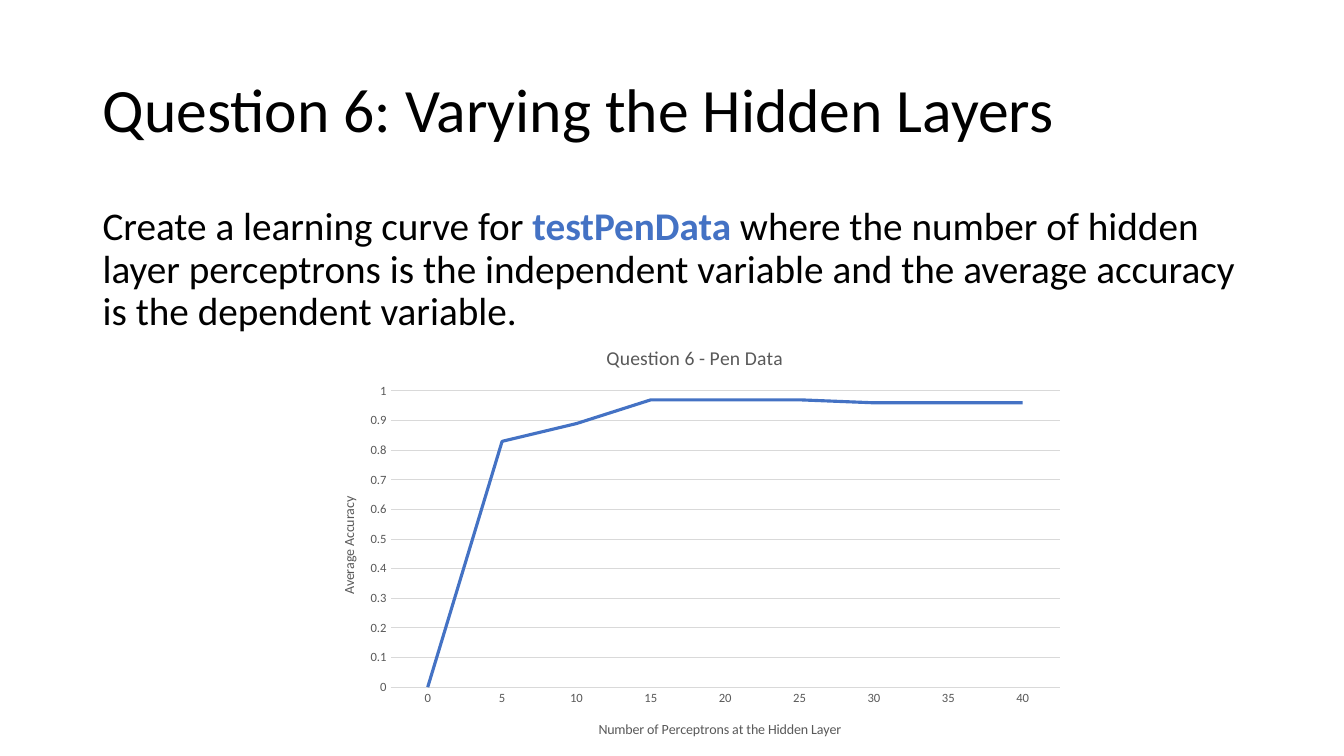
from dataclasses import dataclass

from lxml.etree import SubElement
from pptx import Presentation
from pptx.chart.chart import Chart
from pptx.chart.data import CategoryChartData
from pptx.dml.color import RGBColor
from pptx.enum.chart import XL_CHART_TYPE as ChartType, XL_TICK_MARK as TickMark
from pptx.enum.text import MSO_ANCHOR as Anchor, PP_ALIGN as Align
from pptx.oxml.ns import qn
from pptx.util import Inches, Pt

BLACK = RGBColor(0x00, 0x00, 0x00)
BLUE = RGBColor(0x44, 0x72, 0xC4)
GRAY = RGBColor(0x59, 0x59, 0x59)
LIGHT_GRAY = RGBColor(0xD9, 0xD9, 0xD9)
FONT = "Calibri"
SLIDE_WIDTH, SLIDE_HEIGHT = Inches(13.33), Inches(7.5)
TITLE = "Question 6: Varying the Hidden Layers"
CHART_TITLE = "Question 6 - Pen Data"
ACCURACIES = [0, 0.83, 0.89, 0.97, 0.97, 0.97, 0.96, 0.96, 0.96]
PERCEPTRON_STEP = 5


@dataclass(frozen=True)
class Area:
    """A rectangle in shares of the slide's size."""
    left: float
    top: float
    width: float
    height: float

    def box(self) -> tuple[int, int, int, int]:
        return (int(self.left * SLIDE_WIDTH), int(self.top * SLIDE_HEIGHT),
                int(self.width * SLIDE_WIDTH), int(self.height * SLIDE_HEIGHT))


@dataclass(frozen=True)
class Run:
    text: str
    color: RGBColor = BLACK
    bold: bool = False


@dataclass(frozen=True)
class AxisStyle:
    title: str
    x: float
    y: float


TITLE_AREA = Area(0.069, 0.053, 0.863, 0.193)
BODY_AREA = Area(0.069, 0.267, 0.863, 0.635)
CHART_AREA = Area(0.234, 0.432, 0.566, 0.568)
BODY_RUNS = [
    Run("Create a learning curve for "),
    Run("testPenData ", BLUE, True),
    Run("where the number of hidden layer perceptrons is the independent "
        "variable and the average accuracy is the dependent variable."),
]
CATEGORY_STYLE = AxisStyle("Number of Perceptrons at the Hidden Layer", 0.37, 0.91)
VALUE_STYLE = AxisStyle("Average Accuracy", 0.03, 0.39)


def style_font(font, size: float, color: RGBColor) -> None:
    font.name, font.size, font.bold = FONT, Pt(size), False
    font.color.rgb = color


def write_paragraph(frame, runs: list[Run], size: float, space_before: float = 0) -> None:
    frame.word_wrap = True
    paragraph = frame.paragraphs[0]
    paragraph.alignment = Align.LEFT
    paragraph.line_spacing = 0.9
    paragraph.space_before = Pt(space_before)
    paragraph.font.name, paragraph.font.size = FONT, Pt(size)
    for part in runs:
        run = paragraph.add_run()
        run.text = part.text
        run.font.bold = part.bold
        run.font.color.rgb = part.color


def place(element, index: int, **settings: object) -> None:
    """Give a chart part a manual layout, in shares of the chart."""
    for layout in element.findall(qn("c:layout")):
        element.remove(layout)
    layout = element.makeelement(qn("c:layout"), {})
    element.insert(index, layout)
    manual = SubElement(layout, qn("c:manualLayout"))
    for name, value in settings.items():
        SubElement(manual, qn(f"c:{name}")).set("val", str(value))


def style_axis(axis, style: AxisStyle) -> None:
    axis.major_tick_mark = axis.minor_tick_mark = TickMark.NONE
    style_font(axis.tick_labels.font, 9, GRAY)
    frame = axis.axis_title.text_frame
    frame.text = style.title
    style_font(frame.paragraphs[0].font, 10, GRAY)
    title = axis.axis_title.format.line
    title.fill.background()
    place(axis.axis_title._element, 1, xMode="edge", yMode="edge", x=style.x, y=style.y)


def style_chart(chart: Chart) -> None:
    chart.has_legend = False
    style_font(chart.font, 10, BLACK)
    chart.has_title = True
    chart.chart_title.include_in_layout = False
    chart.chart_title.text_frame.text = CHART_TITLE
    style_font(chart.chart_title.text_frame.paragraphs[0].font, 14, GRAY)

    # Axes and gridlines
    style_axis(chart.category_axis, CATEGORY_STYLE)
    style_axis(chart.value_axis, VALUE_STYLE)
    category_line = chart.category_axis.format.line
    gridline = chart.value_axis.major_gridlines.format.line
    for line in (category_line, gridline):
        line.color.rgb, line.width = LIGHT_GRAY, Pt(0.75)
    value_axis = chart.value_axis
    value_axis.format.line.fill.background()
    value_axis.minimum_scale, value_axis.maximum_scale = 0, 1
    value_axis.major_unit = 0.1
    value_axis.tick_labels.number_format = "General"
    value_axis.tick_labels.number_format_is_linked = False

    # Accuracy curve
    plot = chart.plots[0]
    plot.vary_by_categories = False
    curve = plot.series[0]
    curve.smooth = False
    curve.format.line.color.rgb, curve.format.line.width = BLUE, Pt(2.25)
    plot_area = chart.element.find(f".//{qn('c:plotArea')}") if hasattr(
        chart, "element") else chart._chartSpace.find(f".//{qn('c:plotArea')}")
    place(plot_area, 0, layoutTarget="inner", xMode="edge", yMode="edge",
          x=0.1, y=0.15, w=0.88, h=0.69)


def main() -> None:
    presentation = Presentation()
    presentation.slide_width, presentation.slide_height = SLIDE_WIDTH, SLIDE_HEIGHT
    slide = presentation.slides.add_slide(presentation.slide_layouts.get_by_name("Title Only"))

    # Heading
    title = slide.shapes.title
    title.left, title.top, title.width, title.height = TITLE_AREA.box()
    title.text_frame.vertical_anchor = Anchor.MIDDLE
    write_paragraph(title.text_frame, [Run(TITLE)], 44)

    # Task description
    body = slide.shapes.add_textbox(*BODY_AREA.box())
    write_paragraph(body.text_frame, BODY_RUNS, 28, space_before=10)

    # Learning curve
    data = CategoryChartData()
    data.categories = [str(index * PERCEPTRON_STEP) for index in range(len(ACCURACIES))]
    data.add_series(CHART_TITLE, ACCURACIES)
    frame = slide.shapes.add_chart(ChartType.LINE, *CHART_AREA.box(), data)
    style_chart(frame.chart)

    presentation.save("out.pptx")


if __name__ == "__main__":
    main()
